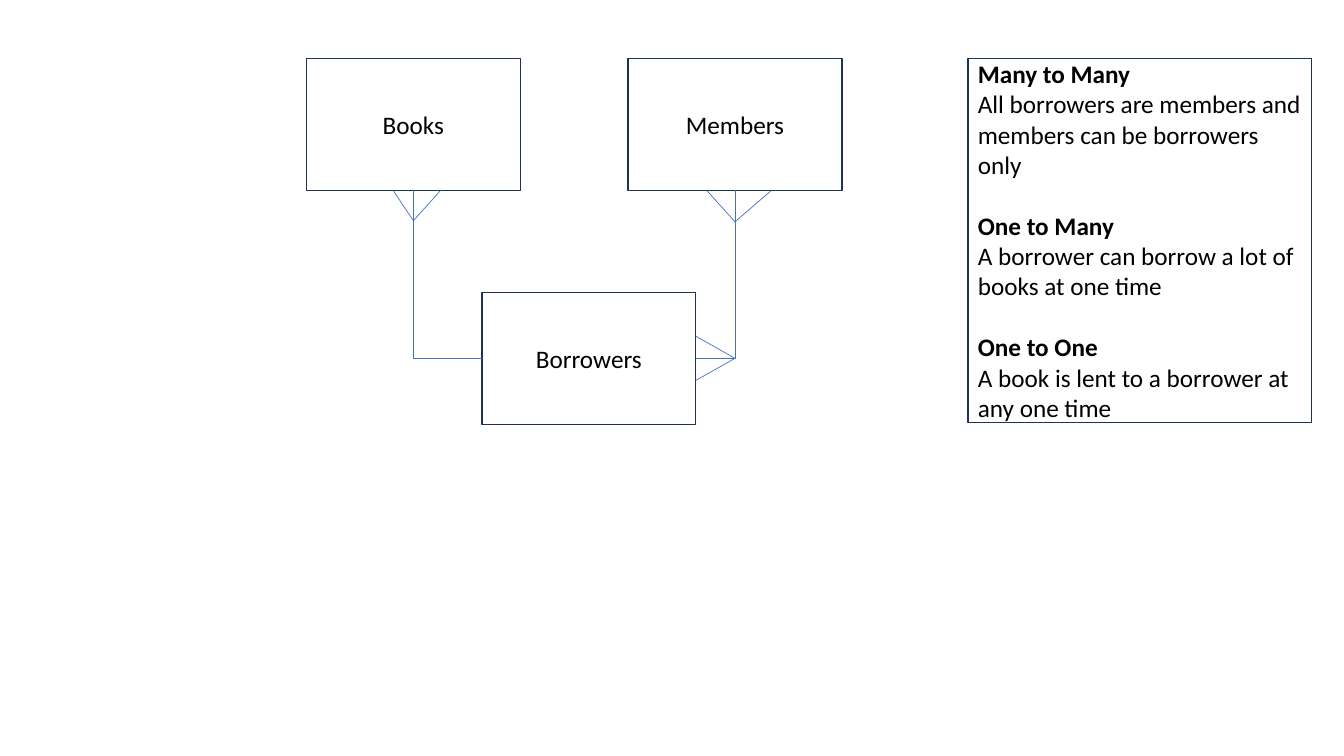
from lxml import etree
from pptx import Presentation
from pptx.dml.color import RGBColor
from pptx.enum import shapes, text
from pptx.oxml import ns
from pptx.util import Inches, Pt

BORDER = RGBColor(0x1E, 0x32, 0x56)
LINK = RGBColor(0x44, 0x72, 0xC4)
BLACK = RGBColor(0, 0, 0)

ENTITY_WIDTH, ENTITY_HEIGHT = 2.12, 1.31
TOP = 0.58
RULES = [
    ("Many to Many", "All borrowers are members and members can be borrowers only"),
    ("One to Many", "A borrower can borrow a lot of books at one time"),
    ("One to One", "A book is lent to a borrower at any one time"),
]


def add_box(slide, left, top, width, height):
    shape = slide.shapes.add_shape(
        shapes.MSO_SHAPE.RECTANGLE,
        Inches(left), Inches(top), Inches(width), Inches(height))
    shape.shadow.inherit = False
    shape.fill.background()
    shape.line.color.rgb = BORDER
    shape.line.width = Pt(1)
    shape.text_frame.word_wrap = True
    shape.text_frame.vertical_anchor = text.MSO_ANCHOR.MIDDLE
    return shape


def write(paragraph, words, alignment, bold=False):
    paragraph.alignment = alignment
    run = paragraph.add_run()
    run.text = words
    run.font.name = "Calibri"
    run.font.size = Pt(18)
    run.font.bold = bold
    run.font.color.rgb = BLACK


def add_entity(slide, name, left, top):
    shape = add_box(slide, left, top, ENTITY_WIDTH, ENTITY_HEIGHT)
    write(shape.text_frame.paragraphs[0], name, text.PP_ALIGN.CENTER)
    return shape


def add_link(slide, start, end, kind=shapes.MSO_CONNECTOR.STRAIGHT):
    link = slide.shapes.add_connector(
        kind, *(Inches(value) for value in (*start, *end)))
    link.line.color.rgb = LINK
    link.line.width = Pt(0.5)
    etree.SubElement(link._element.spPr, ns.qn("a:effectLst"))
    return link


def join_entities(slide, first, first_side, second, start, end):
    """Link two entities by a line with one corner, ending under the second."""
    link = add_link(slide, start, end, shapes.MSO_CONNECTOR.ELBOW)
    link._element.spPr.find(ns.qn("a:prstGeom")).set("prst", "bentConnector2")
    link.begin_connect(first, first_side)
    link.end_connect(second, 2)


def add_crow_foot(slide, tip, toes):
    for toe in toes:
        add_link(slide, tip, toe)


def add_diagram(slide, left, top):
    books_left, members_left, borrowers_left = left, left + 3.19, left + 1.74
    borrowers_top = top + 2.32
    books = add_entity(slide, "Books", books_left, top)
    members = add_entity(slide, "Members", members_left, top)
    borrowers = add_entity(slide, "Borrowers", borrowers_left, borrowers_top)

    bottom = top + ENTITY_HEIGHT
    middle = borrowers_top + ENTITY_HEIGHT / 2
    borrowers_right = borrowers_left + ENTITY_WIDTH
    books_x = books_left + ENTITY_WIDTH / 2
    members_x = members_left + ENTITY_WIDTH / 2

    join_entities(slide, borrowers, 3, members,
                  (borrowers_right, middle), (members_x, bottom))
    join_entities(slide, borrowers, 1, books,
                  (borrowers_left, middle), (books_x, bottom))

    add_crow_foot(slide, (books_x, bottom + 0.3),
                  [(books_x - 0.2, bottom), (books_x + 0.27, bottom)])
    add_crow_foot(slide, (members_x, bottom + 0.31),
                  [(members_x - 0.28, bottom), (members_x + 0.36, bottom)])
    add_crow_foot(slide, (members_x, middle),
                  [(borrowers_right, middle - 0.22), (borrowers_right, middle + 0.22)])


def add_rules(slide, left, top, width, height):
    frame = add_box(slide, left, top, width, height).text_frame
    for index, (heading, explanation) in enumerate(RULES):
        paragraph = frame.add_paragraph() if index else frame.paragraphs[0]
        if index:
            paragraph.space_before = Pt(22)
        write(paragraph, heading, text.PP_ALIGN.LEFT, bold=True)
        write(frame.add_paragraph(), explanation, text.PP_ALIGN.LEFT)


def main():
    presentation = Presentation()
    presentation.slide_width = Inches(13.33)
    presentation.slide_height = Inches(7.5)
    slide = presentation.slides.add_slide(presentation.slide_layouts[6])
    add_diagram(slide, 3.04, TOP)
    add_rules(slide, 9.6, TOP, 3.41, 3.61)
    presentation.save("out.pptx")


if __name__ == "__main__":
    main()
